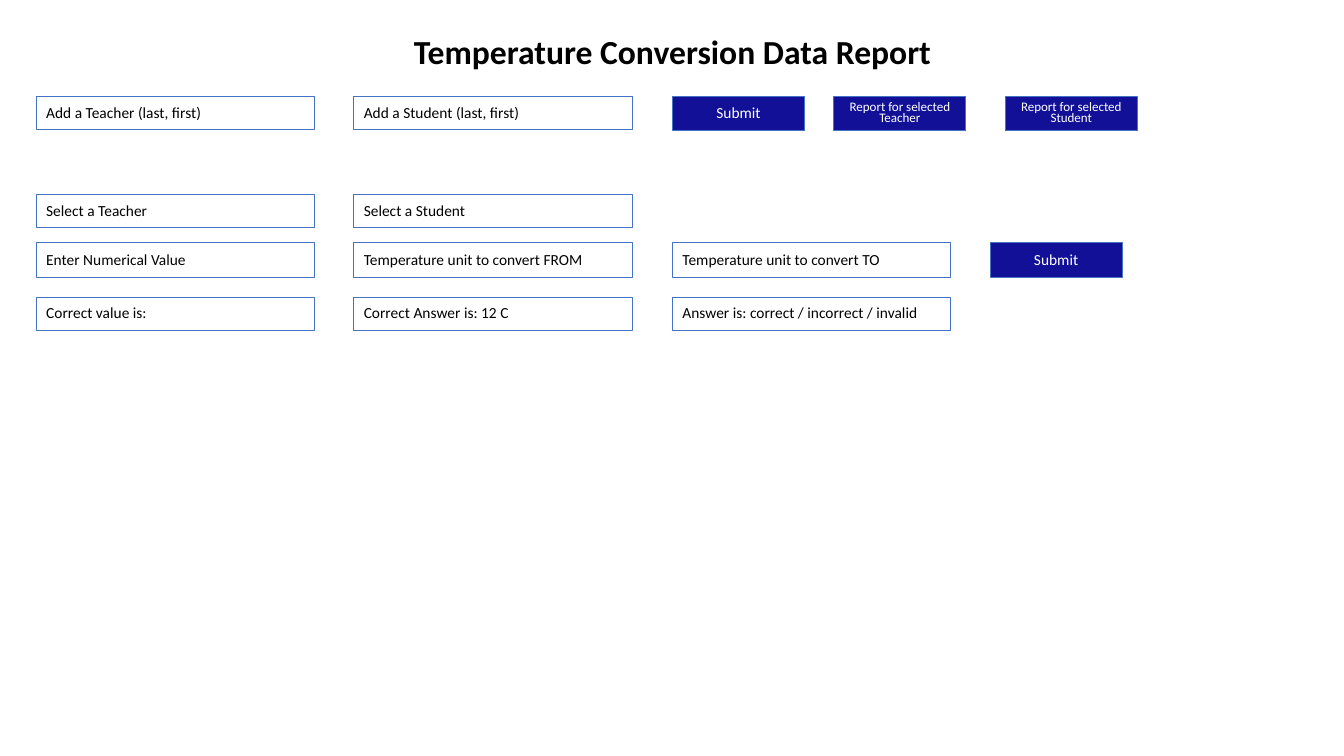
"""Build the temperature conversion data report form slide."""
from pptx import Presentation
from pptx.dml.color import RGBColor
from pptx.enum import shapes, text
from pptx.util import Inches, Pt


def color(code):
    return RGBColor.from_string(code)


def write(shape, words, size, ink, align, space=0.9, bold=False):
    frame = shape.text_frame
    frame.word_wrap = True
    frame.vertical_anchor = text.MSO_ANCHOR.MIDDLE
    para = frame.paragraphs[0]
    para.alignment = align
    para.line_spacing = space
    run = para.add_run()
    run.text = words
    run.font.name = "Calibri"
    run.font.size = Pt(size)
    run.font.bold = bold
    run.font.color.rgb = color(ink)


deck = Presentation()
deck.slide_width, deck.slide_height = Inches(13.33), Inches(7.5)
slide = deck.slides.add_slide(deck.slide_layouts[6])
left, center = text.PP_ALIGN.LEFT, text.PP_ALIGN.CENTER

title = slide.shapes.add_textbox(Inches(1.67), Inches(0.26), Inches(10), Inches(0.55))
write(title, "Temperature Conversion Data Report", 24, "000000", center, bold=True)

cols = [0.36, 3.51, 6.67]
fields = [
    (0.96, 0.33, ["Add a Teacher (last, first)", "Add a Student (last, first)"]),
    (1.93, 0.33, ["Select a Teacher", "Select a Student"]),
    (2.41, 0.34, ["Enter Numerical Value", "Temperature unit to convert FROM",
                  "Temperature unit to convert TO"]),
    (2.95, 0.33, ["Correct value is:", "Correct Answer is: 12 C",
                  "Answer is: correct / incorrect / invalid"]),
]
buttons = [
    (6.67, 0.96, "Submit", 11, 0.9),
    (9.82, 2.41, "Submit", 11, 0.9),
    (8.27, 0.96, "Report for selected Teacher", 9.3, 0.7),
    (9.97, 0.96, "Report for selected Student", 9.3, 0.7),
]

boxes = [(x, y, 2.76, high, words, 11, 0.9, None)
         for y, high, row in fields for x, words in zip(cols, row)]
boxes += [(x, y, 1.31, 0.34, words, size, space, "111097")
          for x, y, words, size, space in buttons]

for x, y, wide, high, words, size, space, fill in boxes:
    box = slide.shapes.add_shape(shapes.MSO_SHAPE.RECTANGLE, Inches(x), Inches(y),
                                 Inches(wide), Inches(high))
    box.shadow.inherit = False
    box.line.color.rgb = color("4472C4")
    box.line.width = Pt(0.75)
    if fill:
        box.fill.solid()
        box.fill.fore_color.rgb = color(fill)
        write(box, words, size, "FFFFFF", center, space)
    else:
        box.fill.background()
        write(box, words, size, "000000", left, space)

deck.save("out.pptx")
